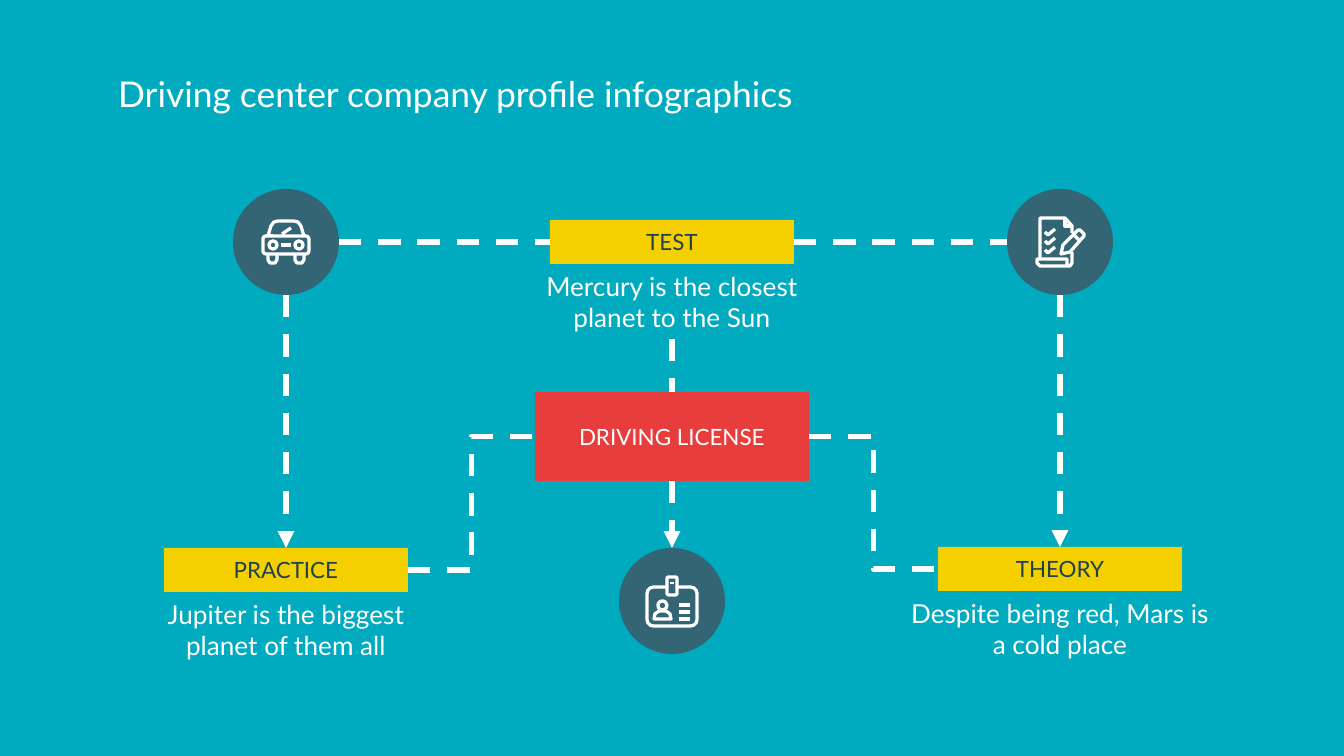
import dataclasses
import typing

import lxml.etree
import pptx
import pptx.dml.color
import pptx.enum.dml
import pptx.enum.shapes
import pptx.enum.text
import pptx.oxml.ns
import pptx.util

RGB = pptx.dml.color.RGBColor
KIND = pptx.enum.shapes.MSO_SHAPE
JOIN = pptx.enum.shapes.MSO_CONNECTOR
ALIGN = pptx.enum.text.PP_ALIGN
ANCHOR = pptx.enum.text.MSO_ANCHOR

TEAL = RGB(0x00, 0xAB, 0xBF)
SLATE = RGB(0x33, 0x65, 0x74)
GOLD = RGB(0xF4, 0xD0, 0x00)
RED = RGB(0xE8, 0x3D, 0x3D)
INK = RGB(0x1F, 0x42, 0x4C)
WHITE = RGB(0xFF, 0xFF, 0xFF)

FONT = "Lato"
SCALE = 914400 / 134.4
DISC = 106
TAG_W, TAG_H = 244, 44
NOTE_W, NOTE_H = 332, 75
TOP, LEFT, BOTTOM, RIGHT = range(4)

Point = tuple[int, int]


@dataclasses.dataclass
class Step:
    name: str
    note: str
    mid: int
    top: int


@dataclasses.dataclass
class Icon:
    mid: Point
    lines: list[list[Point]]
    forms: list[tuple[typing.Any, int, int, int, int]]


def px(*vals: int) -> list[int]:
    return [round(val * SCALE) for val in vals]


def write(shape: typing.Any, text: str, size: int, color: RGB,
          align: typing.Any = ALIGN.CENTER, anchor: typing.Any = ANCHOR.MIDDLE) -> None:
    frame = shape.text_frame
    frame.text = text
    frame.word_wrap = True
    frame.vertical_anchor = anchor
    frame.margin_left = frame.margin_right = pptx.util.Inches(0.1)
    frame.margin_top = frame.margin_bottom = pptx.util.Inches(0.1)
    para = frame.paragraphs[0]
    para.alignment = align
    font = para.runs[0].font
    font.name, font.size, font.color.rgb = FONT, pptx.util.Pt(size), color


def block(shapes: typing.Any, kind: typing.Any, box: tuple[int, int, int, int],
          fill: RGB) -> typing.Any:
    shape = shapes.add_shape(kind, *px(*box))
    shape.shadow.inherit = False
    shape.fill.solid()
    shape.fill.fore_color.rgb = fill
    shape.line.fill.background()
    return shape


def stroke(shape: typing.Any, width: float) -> None:
    shape.line.color.rgb = WHITE
    shape.line.width = pptx.util.Pt(width)


def wire(shapes: typing.Any, start: Point, end: Point, width: float,
         kind: typing.Any = JOIN.STRAIGHT) -> typing.Any:
    line = shapes.add_connector(kind, *px(*start, *end))
    stroke(line, width)
    lxml.etree.SubElement(line._element.spPr, pptx.oxml.ns.qn("a:effectLst"))
    return line


def link(shapes: typing.Any, start: Point, end: Point,
         first: typing.Any = None, last: typing.Any = None,
         bent: bool = False, arrow: bool = False) -> None:
    line = wire(shapes, start, end, 3, JOIN.ELBOW if bent else JOIN.STRAIGHT)
    line.line.dash_style = pptx.enum.dml.MSO_LINE.DASH
    if first:
        line.begin_connect(*first)
    if last:
        line.end_connect(*last)
    if arrow:
        stem = line._element.spPr.find(pptx.oxml.ns.qn("a:ln"))
        head = lxml.etree.SubElement(stem, pptx.oxml.ns.qn("a:tailEnd"))
        head.set("type", "triangle")


def label(shapes: typing.Any, step: Step) -> tuple[typing.Any, typing.Any]:
    tag = block(shapes, KIND.RECTANGLE, (step.mid - TAG_W // 2, step.top, TAG_W, TAG_H), GOLD)
    write(tag, step.name, 12, INK)
    note = shapes.add_textbox(*px(step.mid - NOTE_W // 2, step.top + TAG_H, NOTE_W, NOTE_H))
    write(note, step.note, 14, WHITE)
    return tag, note


def draw(shapes: typing.Any, icon: Icon) -> None:
    x, y = icon.mid
    block(shapes, KIND.OVAL, (x - DISC // 2, y - DISC // 2, DISC, DISC), SLATE)
    group = shapes.add_group_shape().shapes
    for kind, left, top, wide, high in icon.forms:
        form = block(group, kind, (x + left, y + top, wide, high), SLATE)
        stroke(form, 1.75)
    for line in icon.lines:
        spots = [(x + dx, y + dy) for dx, dy in line]
        if len(spots) == 2:
            wire(group, *spots, 1.75)
            continue
        pen = group.build_freeform(*spots[0], scale=SCALE)
        pen.add_line_segments(spots[1:], close=False)
        curve = pen.convert_to_shape()
        curve.shadow.inherit = False
        curve.fill.background()
        stroke(curve, 1.75)


STEPS = [
    Step("TEST", "Mercury is the closest planet to the Sun", 672, 220),
    Step("THEORY", "Despite being red, Mars is a cold place", 1060, 547),
    Step("PRACTICE", "Jupiter is the biggest planet of them all", 286, 548),
]

FOOT = [(9, 12), (9, 18), (11, 21), (16, 21), (18, 18), (18, 12)]
CAR = Icon((286, 242), [
    [(-18, -6), (-15, -16), (-12, -20), (-8, -21), (8, -21), (12, -20), (15, -16), (18, -6)],
    FOOT, [(-x, y) for x, y in FOOT],
    [(-5, 3), (5, 3)], [(-4, -8), (5, -14)],
], [
    (KIND.ROUNDED_RECTANGLE, -23, -6, 46, 18),
    (KIND.OVAL, -17, -1, 8, 8), (KIND.OVAL, 9, -1, 8, 8),
])
EXAM = Icon((1060, 242), [
    [(-20, 16), (-20, -24), (5, -24), (12, -16), (12, -9)],
    [(5, -24), (5, -16), (12, -16)],
    [(12, 10), (12, 21), (10, 24), (-20, 24), (-23, 21), (-23, 17), (7, 17), (7, 22), (9, 24)],
    [(1, 12), (3, 3), (18, -12), (20, -12), (24, -8), (24, -6), (10, 10), (1, 12)],
    [(14, -7), (20, -1)],
    *[[(-15, y), (-12, y + 3), (-5, y - 3)] for y in (-10, -1, 8)],
], [])
CARD = Icon((672, 601), [
    [(-18, 18), (-17, 13), (-13, 10), (-6, 10), (-2, 13), (-1, 18), (-18, 18)],
    [(0, -19), (0, -17)],
    *[[(7, y), (18, y)] for y in (4, 11, 18)],
], [
    (KIND.ROUNDED_RECTANGLE, -25, -14, 50, 39),
    (KIND.ROUNDED_RECTANGLE, -5, -24, 10, 18),
    (KIND.OVAL, -14, 0, 9, 9),
])


def main() -> None:
    deck = pptx.Presentation()
    deck.slide_width, deck.slide_height = px(1344, 756)
    slide = deck.slides.add_slide(deck.slide_layouts[6])
    slide.background.fill.solid()
    slide.background.fill.fore_color.rgb = TEAL
    shapes = slide.shapes

    # Title
    title = shapes.add_textbox(*px(105, 59, 1134, 85))
    write(title, "Driving center company profile infographics", 19, WHITE, ALIGN.LEFT, ANCHOR.TOP)

    # Labels and centre box
    (test, note), (theory, _), (drill, _) = [label(shapes, step) for step in STEPS]
    permit = block(shapes, KIND.RECTANGLE, (535, 392, 274, 89), RED)
    write(permit, "DRIVING LICENSE", 12, WHITE)

    # Dashed links
    link(shapes, (408, 570), (535, 437), (drill, RIGHT), (permit, LEFT), bent=True)
    link(shapes, (809, 437), (938, 569), (permit, RIGHT), (theory, LEFT), bent=True)
    link(shapes, (672, 339), (672, 392), (note, BOTTOM), (permit, TOP))
    link(shapes, (286, 295), (286, 548), last=(drill, TOP), arrow=True)
    link(shapes, (1060, 295), (1060, 547), last=(theory, TOP), arrow=True)
    link(shapes, (672, 481), (672, 548), first=(permit, BOTTOM), arrow=True)
    link(shapes, (339, 242), (550, 242), last=(test, LEFT))
    link(shapes, (794, 242), (1007, 242), first=(test, RIGHT))

    # Round icons
    for icon in (CAR, EXAM, CARD):
        draw(shapes, icon)

    deck.save("out.pptx")


if __name__ == "__main__":
    main()
